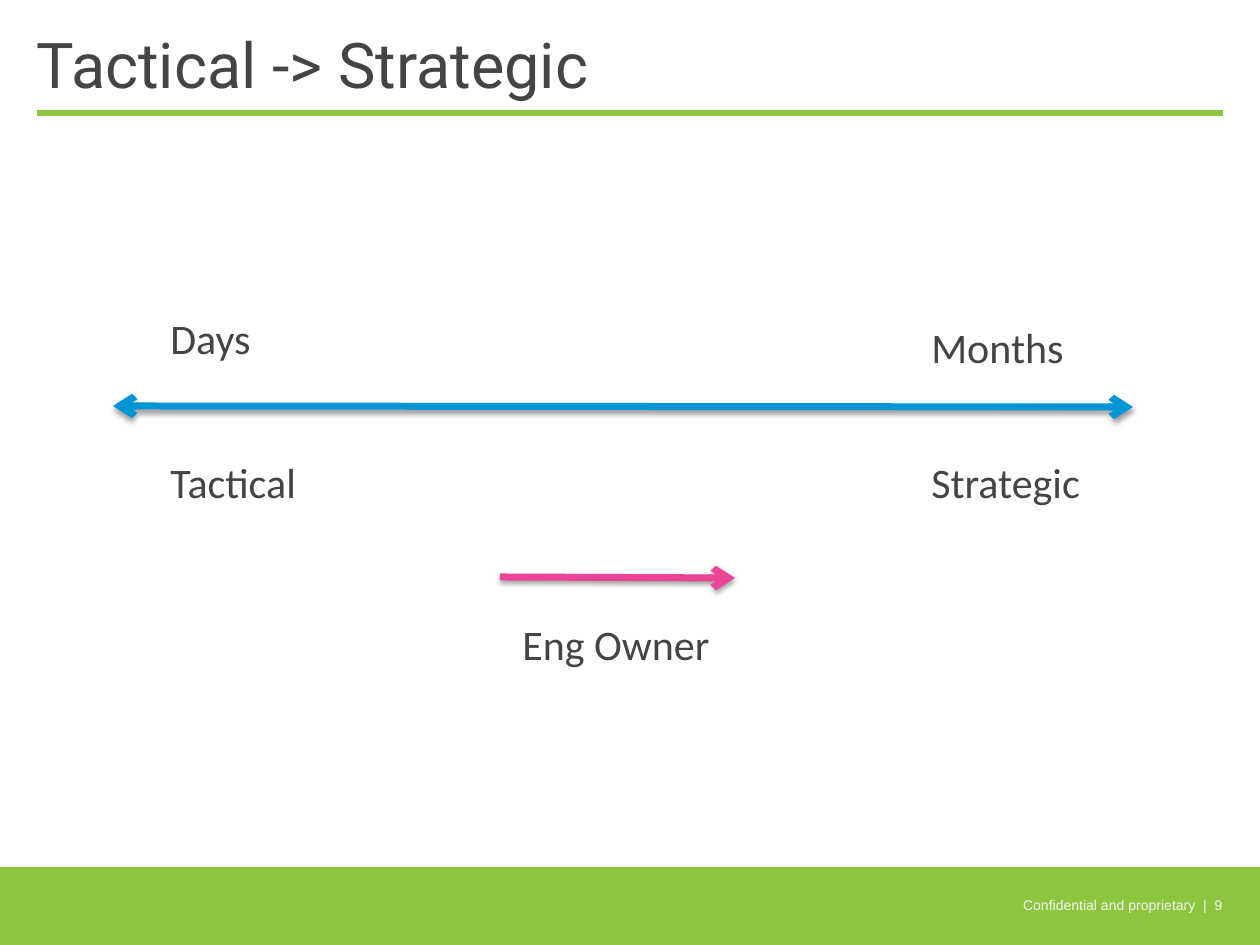
from pptx import Presentation
from pptx.dml.color import RGBColor
from pptx.enum.shapes import MSO_CONNECTOR, MSO_SHAPE
from pptx.enum.text import MSO_ANCHOR, PP_ALIGN
from pptx.oxml.ns import qn
from pptx.util import Emu, Pt
from lxml.etree import SubElement

GREEN, BLUE, PINK = "8CC63E", "0096D6", "EA4398"
DARK, PALE = "444444", "F6F6F6"
WIDE, HIGH, EDGE = 1260, 945, 37

TITLE = "Tactical -> Strategic"
FOOT = "Confidential and proprietary  |  9"
LABELS = [
    ("Days", 158, 306, 163),
    ("Months", 919, 315, 163),
    ("Tactical", 158, 450, 163),
    ("Strategic", 919, 450, 214),
    ("Eng Owner", 510, 612, 214),
]
ARROWS = [
    ((113, 406), (1133, 407), BLUE, ("headEnd", "tailEnd")),
    ((500, 577), (735, 578), PINK, ("tailEnd",)),
]


def px(n):
    return Emu(round(n * 914400 / 126))


def color(code):
    return RGBColor.from_string(code)


def add_text(slide, text, box, size, font, code, inset=True,
             align=PP_ALIGN.LEFT, anchor=MSO_ANCHOR.TOP):
    frame = slide.shapes.add_textbox(*map(px, box)).text_frame
    frame.word_wrap = True
    frame.vertical_anchor = anchor
    if not inset:
        frame.margin_left = frame.margin_right = 0
        frame.margin_top = frame.margin_bottom = 0
    para = frame.paragraphs[0]
    para.alignment = align
    run = para.add_run()
    run.text = text
    run.font.size = Pt(size)
    run.font.name = font
    run.font.color.rgb = color(code)


def add_line(slide, start, end, code, width, tips=(), shadow=False):
    link = slide.shapes.add_connector(
        MSO_CONNECTOR.STRAIGHT, *map(px, start + end))
    link.line.color.rgb = color(code)
    link.line.width = Pt(width)
    props = link.element.find(qn("p:spPr"))
    stroke = props.find(qn("a:ln"))
    for tip in tips:
        SubElement(stroke, qn("a:" + tip), type="arrow")
    effects = SubElement(props, qn("a:effectLst"))
    if shadow:
        cast = SubElement(effects, qn("a:outerShdw"), blurRad=str(Pt(3.1)),
                          dist=str(Pt(1.6)), dir="5400000", rotWithShape="0")
        tint = SubElement(cast, qn("a:srgbClr"), val="000000")
        SubElement(tint, qn("a:alpha"), val="38000")


def main():
    deck = Presentation()
    deck.slide_width, deck.slide_height = px(WIDE), px(HIGH)
    slide = deck.slides.add_slide(deck.slide_layouts[6])

    band = slide.shapes.add_shape(
        MSO_SHAPE.RECTANGLE, *map(px, (0, 867, WIDE, HIGH - 867)))
    band.shadow.inherit = False
    band.fill.solid()
    band.fill.fore_color.rgb = color(GREEN)
    band.line.fill.background()

    add_line(slide, (EDGE, 113), (WIDE - EDGE, 113), GREEN, 3)
    add_text(slide, TITLE, (EDGE, 26, WIDE - 2 * EDGE, 80),
             36, "Roboto", DARK, inset=False)
    add_text(slide, FOOT, (780, 888, WIDE - EDGE - 780, 34), 8, "Arial", PALE,
             inset=False, align=PP_ALIGN.RIGHT, anchor=MSO_ANCHOR.MIDDLE)

    for start, end, code, tips in ARROWS:
        add_line(slide, start, end, code, 4, tips, shadow=True)
    for text, left, top, width in LABELS:
        add_text(slide, text, (left, top, width, 63), 24, "Calibri", DARK)

    deck.save("out.pptx")


if __name__ == "__main__":
    main()
